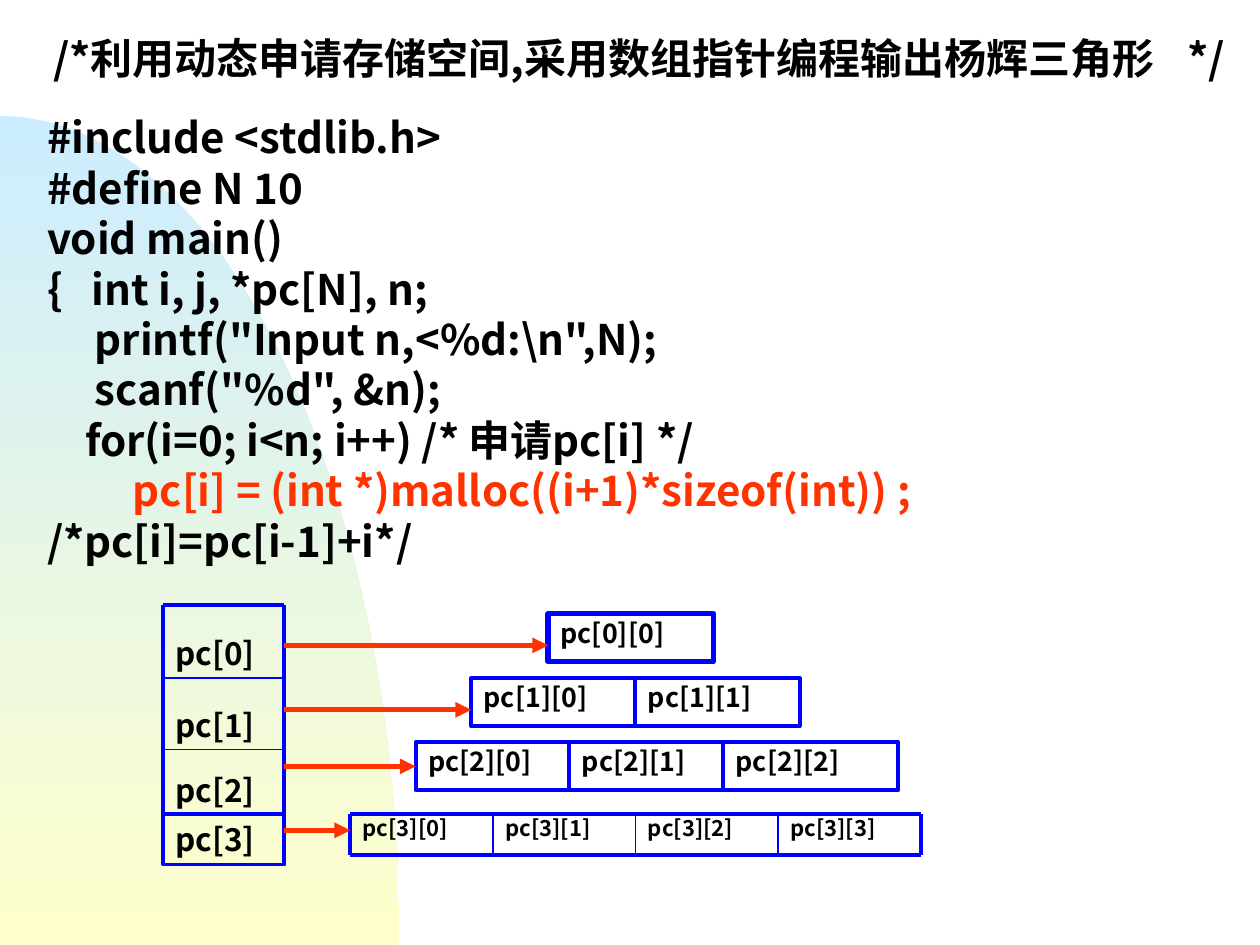
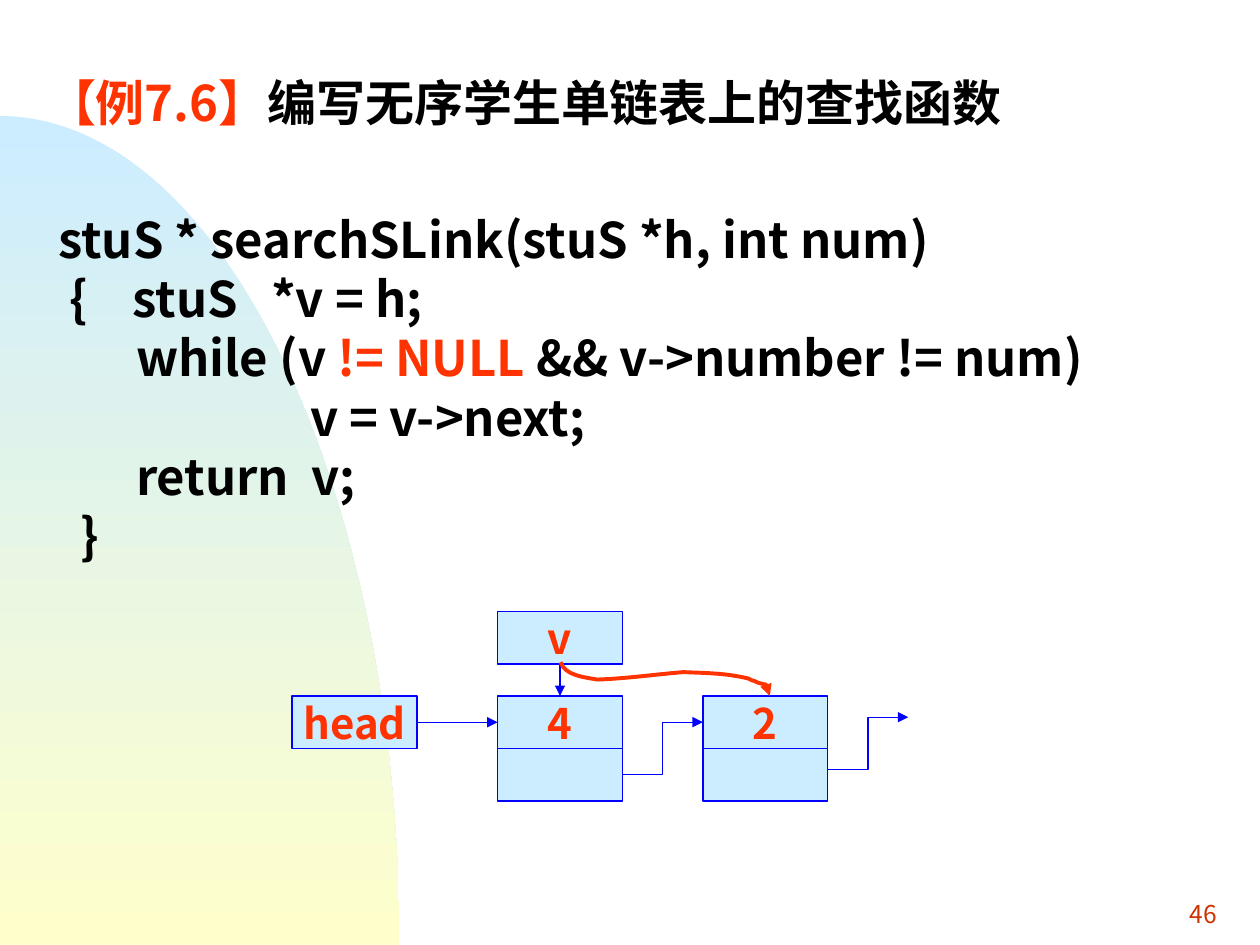
from lxml import etree
from pptx import Presentation
from pptx import util as u
from pptx.dml import color
from pptx.enum import shapes, text
from pptx.oxml import ns

FONT = "Noto Sans CJK SC"
INK, RED, BLUE, SKY, CREAM, RUST = "010000", "FF3300", "0000FF", "CCECFF", "FFFFCC", "CC3300"
LEFT, MID, RIGHT = text.PP_ALIGN.LEFT, text.PP_ALIGN.CENTER, text.PP_ALIGN.RIGHT
TOP, CENTER, BOTTOM = text.MSO_ANCHOR.TOP, text.MSO_ANCHOR.MIDDLE, text.MSO_ANCHOR.BOTTOM
STRAIGHT, ELBOW = shapes.MSO_CONNECTOR.STRAIGHT, shapes.MSO_CONNECTOR.ELBOW

INTRO = "/*利用动态申请存储空间,采用数组指针编程输出杨辉三角形\t*/"
MALLOC = [
    "#include <stdlib.h>",
    "#define N 10",
    "void main()",
    "{   int i, j, *pc[N], n;",
    "     printf(\"Input n,<%d:\\n\",N);",
    "     scanf(\"%d\", &n);",
    "    for(i=0; i<n; i++) /* 申请pc[i] */",
    [("         ", INK), ("pc[i] = (int *)malloc((i+1)*sizeof(int)) ;", RED),
     (" /*pc[i]=pc[i-1]+i*/", INK)],
]
TITLE = [("【例7.6】", RED), ("编写无序学生单链表上的查找函数", INK)]
SEARCH = [
    " stuS * searchSLink(stuS *h, int num)",
    "  {    stuS   *v = h;",
    [("        while (v ", INK), ("!= NULL", RED), (" && v->number != num)", INK)],
    "            \t v = v->next;",
    "        return  v;",
    "   }",
]
HOP = [(5.41, 1.02), (5.51, 1.29), (5.87, 1.32), (6.15, 1.37), (6.73, 1.35), (7.29, 1.27),
       (7.88, 1.22), (8.38, 1.24), (8.74, 1.24), (9.2, 1.35), (9.25, 1.37), (9.27, 1.4),
       (9.32, 1.4), (9.4, 1.45), (9.55, 1.47), (9.55, 1.47), (9.58, 1.55), (9.63, 1.7),
       (9.63, 1.7)]


def rgb(code):
    """Turn a hex string into a colour."""
    return color.RGBColor.from_string(code)


def node(parent, tag, **attrs):
    """Append a drawing element with the given attributes."""
    return etree.SubElement(parent, ns.qn(tag), **attrs)


def write(shape, lines, size, tint=INK, bold=True, tight=1.0, gap=0, tab=None,
          align=LEFT, anchor=TOP, wrap=True):
    """Fill a shape with lines, each a string or a list of coloured runs."""
    frame = shape.text_frame
    frame.word_wrap, frame.vertical_anchor = wrap, anchor
    for i, line in enumerate(lines):
        para = frame.add_paragraph() if i else frame.paragraphs[0]
        para.alignment = align
        para.line_spacing = u.Pt(round(size * 1.2 * tight, 1))
        para.space_before = u.Pt(gap if i else 0)
        if tab:
            stops = node(para._p.get_or_add_pPr(), "a:tabLst")
            node(stops, "a:tab", pos=str(u.Cm(tab)), algn="l")
        for words, hue in [(line, tint)] if isinstance(line, str) else line:
            run = para.add_run()
            run.text = words
            font = run.font
            font.name, font.size, font.bold = FONT, u.Pt(size), bold
            font.color.rgb = rgb(hue)
            node(run._r.get_or_add_rPr(), "a:ea", typeface=FONT)


def label(slide, box, lines, size, **style):
    """Add a text box."""
    write(slide.shapes.add_textbox(*map(u.Cm, box)), lines, size, **style)


def block(slide, box, width, fill=None):
    """Add a blue-edged rectangle and return it."""
    shape = slide.shapes.add_shape(shapes.MSO_SHAPE.RECTANGLE, *map(u.Cm, box))
    shape.shadow.inherit = False
    if fill:
        shape.fill.solid()
        shape.fill.fore_color.rgb = rgb(fill)
    else:
        shape.fill.background()
    stroke(shape, BLUE, width)
    return shape


def stroke(shape, hue, width, arrow=False):
    """Style an outline, with an arrowhead at its end if asked."""
    shape.line.color.rgb = rgb(hue)
    shape.line.width = u.Pt(width)
    if arrow:
        node(shape.line._get_or_add_ln(), "a:tailEnd", type="triangle")


def link(slide, ends, hue, width, arrow=False, kind=STRAIGHT):
    """Add a connector between two points."""
    line = slide.shapes.add_connector(kind, *map(u.Cm, ends))
    stroke(line, hue, width, arrow)
    node(line._element.spPr, "a:effectLst")


def curve(slide, knots, corners=(), closed=False):
    """Build an outline through cubic arcs, then straight corners."""
    start, *rest = [tuple(map(u.Cm, knot)) for knot in [*knots, *corners]]
    pen = slide.shapes.build_freeform(*start, scale=1.0)
    pen.add_line_segments(rest, close=closed)
    shape = pen.convert_to_shape()
    shape.shadow.inherit = False
    legs = list(shape._element.iter(ns.qn("a:lnTo")))
    for i in range(0, len(knots) - 1, 3):
        arc = etree.Element(ns.qn("a:cubicBezTo"))
        legs[i].addprevious(arc)
        for leg in legs[i:i + 3]:
            arc.append(leg[0])
            leg.getparent().remove(leg)
    return shape


def base(deck):
    """Add a blank slide with the shaded arc."""
    slide = deck.slides.add_slide(deck.slide_layouts[6])
    arc = curve(slide, [(0, 2.34), (4.45, 2.34), (8.05, 9.83), (8.05, 19.05)], [(0, 19.05)], True)
    arc.fill.gradient()
    arc.fill.gradient_angle = 270
    for stop, hue, place in zip(arc.fill.gradient_stops, (SKY, CREAM), (0, 1)):
        stop.color.rgb, stop.position = rgb(hue), place
    arc.line.fill.background()
    return slide


def grid(slide, xs, ys):
    """Rule a grid with thick edges and thin inner lines."""
    for y in ys:
        link(slide, (xs[0], y, xs[-1], y), BLUE, 2.25 if y in (ys[0], ys[-1]) else 1)
    for x in xs:
        link(slide, (x, ys[0], x, ys[-1]), BLUE, 2.25 if x in (xs[0], xs[-1]) else 1)


def jagged(slide, x, y):
    """Draw the pointer column and the rows it points to."""
    wide, tall = 2.44, 0.97
    marks = [y + d for d in (0, 1.48, 2.92, 4.22)]
    for i, dy in enumerate((-0.48, 0.99, 2.29)):
        label(slide, (x, y + dy, wide, 1.95), [f"pc[{i}]"], 18, anchor=BOTTOM)
    grid(slide, (x, x + wide), marks)
    write(block(slide, (x, marks[3], wide, 1.02), 2.25), ["pc[3]"], 18)

    rows = [(7.76, 0.18, [3.33], 0.82), (6.21, 1.48, [3.31] * 2, 2.12),
            (5.09, 2.77, [3.1, 3.1, 3.53], 3.26), (3.77, 4.22, [11.5 / 4] * 4, 4.55)]
    for i, (dx, dy, spans, aim) in enumerate(rows):
        edges = [x + dx + sum(spans[:j]) for j in range(len(spans) + 1)]
        for j, span in enumerate(spans):
            name = [f"pc[{i}][{j}]"]
            if i < 3:
                cell = block(slide, (edges[j], y + dy, span, tall), 2.25 if i else 3)
                write(cell, name, 15.3, tight=0.9)
            else:
                label(slide, (edges[j], y + dy, span, 0.82), name, 12.6, tight=0.8)
        if i == 3:
            grid(slide, edges, (y + dy, y + dy + 0.82))
        link(slide, (x + wide, y + aim, x + dx, y + aim), RED, 3, True)


def chain(slide, x, y):
    """Draw the linked list with its search pointer."""
    wide, tall, step, row = 2.52, 1.06, 4.14, 1.7
    cells = [("head", 0, row), ("4", step, row), ("", step, row + tall),
             ("2", 2 * step, row), ("", 2 * step, row + tall), ("v", step, 0)]
    for name, dx, dy in cells:
        cell = block(slide, (x + dx, y + dy, wide, tall), 0.75, SKY)
        if name:
            write(cell, [name], 24, RED, align=MID, anchor=CENTER, wrap=False)
    mid, aim = x + step + wide / 2, y + row + tall / 2
    link(slide, (x + wide, aim, x + step, aim), BLUE, 0.75, True)
    link(slide, (mid, y + tall, mid, y + row), BLUE, 0.75, True)
    for i, lift in ((1, 0), (2, 0.1)):
        ends = x + i * step + wide, aim + tall - lift, x + (i + 1) * step, aim - lift
        link(slide, ends, BLUE, 0.75, True, ELBOW)
    hop = curve(slide, [(x + dx, y + dy) for dx, dy in HOP])
    hop.fill.background()
    stroke(hop, RED, 2.25, True)


def triangle(deck):
    """Build the slide on allocating rows."""
    slide = base(deck)
    label(slide, (0.7, 2.13, 24.7, 11.43), MALLOC, 24)
    label(slide, (0.82, 0.53, 24.13, 1.27), [INTRO], 24, tab=22.86, wrap=False)
    jagged(slide, 3.29, 12.19)


def search(deck):
    """Build the slide on searching a list."""
    slide = base(deck)
    label(slide, (19.5, 17.78, 5.28, 1.27), ["46"], 14, tint=RUST, bold=False,
          align=RIGHT, anchor=CENTER, wrap=False)
    label(slide, (0.7, 4.33, 23.8, 7.39), SEARCH, 28, tight=0.8, gap=7, tab=5.08)
    label(slide, (0.7, 1.33, 23.22, 1.45), [TITLE], 28)
    chain(slide, 5.89, 12.33)


def main():
    """Build and save the deck."""
    deck = Presentation()
    deck.slide_width, deck.slide_height = u.Cm(25.4), u.Cm(19.05)
    triangle(deck)
    search(deck)
    deck.save("out.pptx")


if __name__ == "__main__":
    main()
